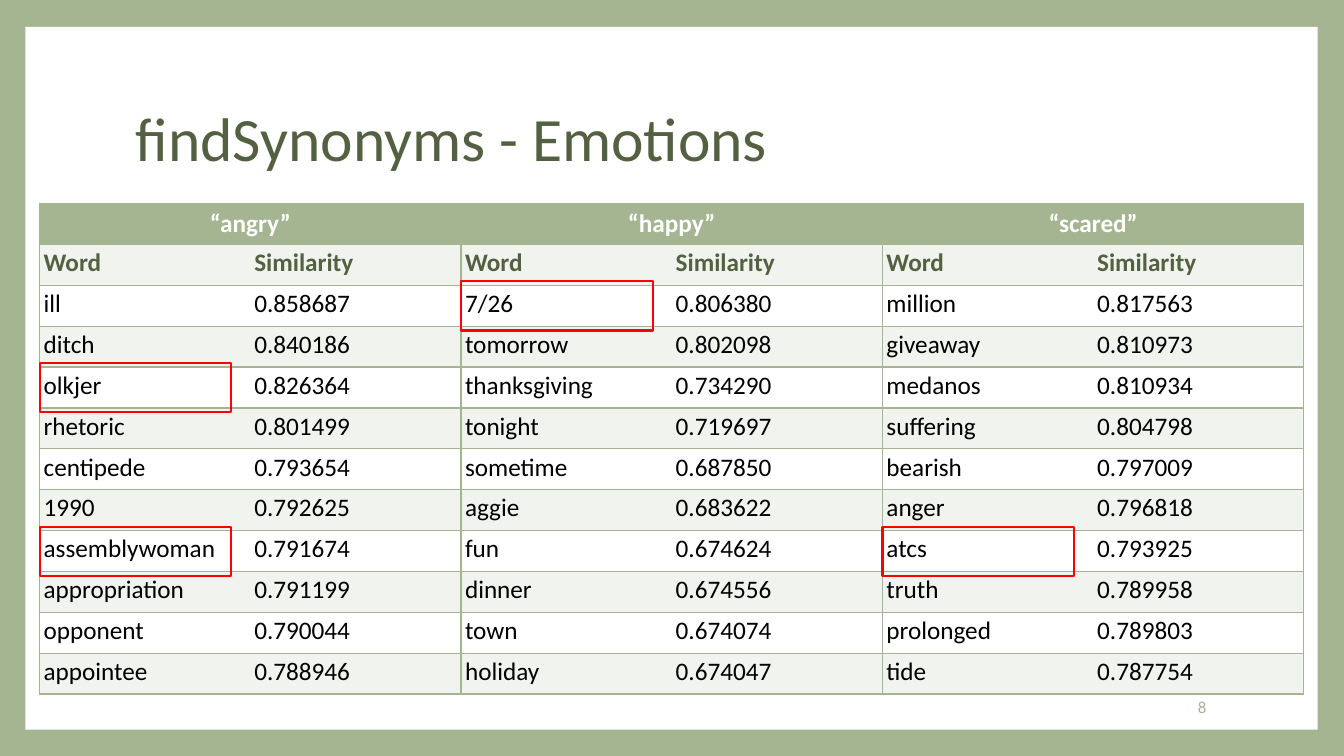
from dataclasses import dataclass

from lxml import etree
from pptx import Presentation
from pptx.dml.color import RGBColor
from pptx.enum.shapes import MSO_SHAPE
from pptx.enum.text import MSO_ANCHOR, PP_ALIGN
from pptx.oxml.ns import qn
from pptx.slide import Slide
from pptx.table import _Cell
from pptx.text.text import TextFrame
from pptx.util import Cm, Pt

RECTANGLE = MSO_SHAPE.RECTANGLE
MIDDLE = MSO_ANCHOR.MIDDLE
LEFT, CENTER, RIGHT = PP_ALIGN.LEFT, PP_ALIGN.CENTER, PP_ALIGN.RIGHT

FONT = "Calibri"
COLORS = {
    "sage": "A5B592",
    "moss": "536142",
    "band": "F0F3EE",
    "white": "FFFFFF",
    "black": "000000",
    "red": "FF0000",
}

TABLE_LEFT, TABLE_TOP = 1.0, 5.13
COLUMN_WIDTH, ROW_HEIGHT = 5.31, 1.03
HEADER_ROWS = 2
HIGHLIGHT_WIDTH, HIGHLIGHT_HEIGHT, HIGHLIGHT_RISE = 4.83, 1.24, 0.1
CELL_MARGINS = {
    "margin_left": Cm(0.1),
    "margin_right": Cm(0.1),
    "margin_top": Cm(0.08),
    "margin_bottom": Cm(0.08),
}


@dataclass(frozen=True)
class Box:
    left: float
    top: float
    width: float
    height: float

    def lengths(self) -> list[Cm]:
        return [Cm(value) for value in (self.left, self.top, self.width, self.height)]


@dataclass(frozen=True)
class TextStyle:
    size: float
    color: str
    bold: bool = False
    alignment: PP_ALIGN = LEFT
    line_spacing: float = 1.0


@dataclass(frozen=True)
class Emotion:
    name: str
    synonyms: list[tuple[str, str]]
    highlighted: tuple[str, ...]


TITLE_STYLE = TextStyle(44, "moss", line_spacing=0.9)
NUMBER_STYLE = TextStyle(12, "sage", alignment=RIGHT)
NAME_STYLE = TextStyle(18, "white", bold=True, alignment=CENTER)
HEADING_STYLE = TextStyle(18, "moss", bold=True)
BODY_STYLE = TextStyle(18, "black")

EMOTIONS = [
    Emotion("“angry”", [
        ("ill", "0.858687"), ("ditch", "0.840186"), ("olkjer", "0.826364"),
        ("rhetoric", "0.801499"), ("centipede", "0.793654"), ("1990", "0.792625"),
        ("assemblywoman", "0.791674"), ("appropriation", "0.791199"),
        ("opponent", "0.790044"), ("appointee", "0.788946"),
    ], ("olkjer", "assemblywoman")),
    Emotion("“happy”", [
        ("7/26", "0.806380"), ("tomorrow", "0.802098"), ("thanksgiving", "0.734290"),
        ("tonight", "0.719697"), ("sometime", "0.687850"), ("aggie", "0.683622"),
        ("fun", "0.674624"), ("dinner", "0.674556"),
        ("town", "0.674074"), ("holiday", "0.674047"),
    ], ("7/26",)),
    Emotion("“scared”", [
        ("million", "0.817563"), ("giveaway", "0.810973"), ("medanos", "0.810934"),
        ("suffering", "0.804798"), ("bearish", "0.797009"), ("anger", "0.796818"),
        ("atcs", "0.793925"), ("truth", "0.789958"),
        ("prolonged", "0.789803"), ("tide", "0.787754"),
    ], ("atcs",)),
]


def color(name: str) -> RGBColor:
    return RGBColor.from_string(COLORS[name])


def write_text(frame: TextFrame, text: str, style: TextStyle) -> None:
    paragraph = frame.paragraphs[0]
    paragraph.alignment = style.alignment
    paragraph.line_spacing = style.line_spacing
    run = paragraph.add_run()
    run.text = text
    font_format = {"name": FONT, "size": Pt(style.size), "bold": style.bold}
    for attribute, value in font_format.items():
        setattr(run.font, attribute, value)
    run.font.color.rgb = color(style.color)


def add_text(slide: Slide, box: Box, text: str, style: TextStyle) -> None:
    frame = slide.shapes.add_textbox(*box.lengths()).text_frame
    for attribute, value in {"word_wrap": True, "vertical_anchor": MIDDLE}.items():
        setattr(frame, attribute, value)
    write_text(frame, text, style)


def add_panel(slide: Slide, box: Box) -> None:
    panel = slide.shapes.add_shape(RECTANGLE, *box.lengths())
    panel.shadow.inherit = False
    panel.fill.solid()
    panel.fill.fore_color.rgb = color("white")
    panel.line.fill.background()


def add_highlight(slide: Slide, left: float, row: int) -> None:
    top = TABLE_TOP + row * ROW_HEIGHT - HIGHLIGHT_RISE
    box = Box(left, top, HIGHLIGHT_WIDTH, HIGHLIGHT_HEIGHT)
    highlight = slide.shapes.add_shape(RECTANGLE, *box.lengths())
    highlight.shadow.inherit = False
    highlight.fill.background()
    highlight.line.color.rgb = color("red")
    highlight.line.width = Pt(1.5)


def format_cell(cell: _Cell, fill: str, open_side: str) -> None:
    properties = cell._tc.get_or_add_tcPr()
    for side in "LRTB":
        border = etree.SubElement(properties, qn(f"a:ln{side}"), w=str(Pt(1)))
        if side == open_side:
            etree.SubElement(border, qn("a:noFill"))
        else:
            border_fill = etree.SubElement(border, qn("a:solidFill"))
            etree.SubElement(border_fill, qn("a:srgbClr"), val=COLORS["sage"])
    cell.fill.solid()
    cell.fill.fore_color.rgb = color(fill)


def add_emotion_table(slide: Slide, emotion: Emotion, left: float) -> None:
    rows = [(emotion.name, ""), ("Word", "Similarity"), *emotion.synonyms]
    box = Box(left, TABLE_TOP, 2 * COLUMN_WIDTH, len(rows) * ROW_HEIGHT)
    table = slide.shapes.add_table(len(rows), 2, *box.lengths()).table
    for column in table.columns:
        column.width = Cm(COLUMN_WIDTH)
    table.cell(0, 0).merge(table.cell(0, 1))
    for row, texts in enumerate(rows):
        table.rows[row].height = Cm(ROW_HEIGHT)
        style = (NAME_STYLE, HEADING_STYLE, BODY_STYLE)[min(row, HEADER_ROWS)]
        fill = "sage" if row == 0 else ("white", "band")[row % 2]
        for column, text in enumerate(texts):
            cell = table.cell(row, column)
            if row > 0:
                for attribute, value in CELL_MARGINS.items():
                    setattr(cell, attribute, value)
            format_cell(cell, fill, "RL"[column])
            if text:
                write_text(cell.text_frame, text, style)


def main() -> None:
    presentation = Presentation()
    presentation.slide_width = Cm(33.87)
    presentation.slide_height = Cm(19.05)
    slide = presentation.slides.add_slide(presentation.slide_layouts[6])
    slide.background.fill.solid()
    slide.background.fill.fore_color.rgb = color("sage")

    add_panel(slide, Box(0.64, 0.68, 32.57, 17.71))
    add_text(slide, Box(3.17, 1.7, 27.43, 3.76), "findSynonyms - Emotions", TITLE_STYLE)
    lefts = [TABLE_LEFT + 2 * COLUMN_WIDTH * index for index in range(len(EMOTIONS))]
    for emotion, left in zip(EMOTIONS, lefts):
        add_emotion_table(slide, emotion, left)
    for emotion, left in zip(EMOTIONS, lefts):
        for row, (word, _) in enumerate(emotion.synonyms, start=HEADER_ROWS):
            if word in emotion.highlighted:
                add_highlight(slide, left, row)
    add_text(slide, Box(25.9, 17.3, 4.75, 1.02), "8", NUMBER_STYLE)

    presentation.save("out.pptx")


if __name__ == "__main__":
    main()
